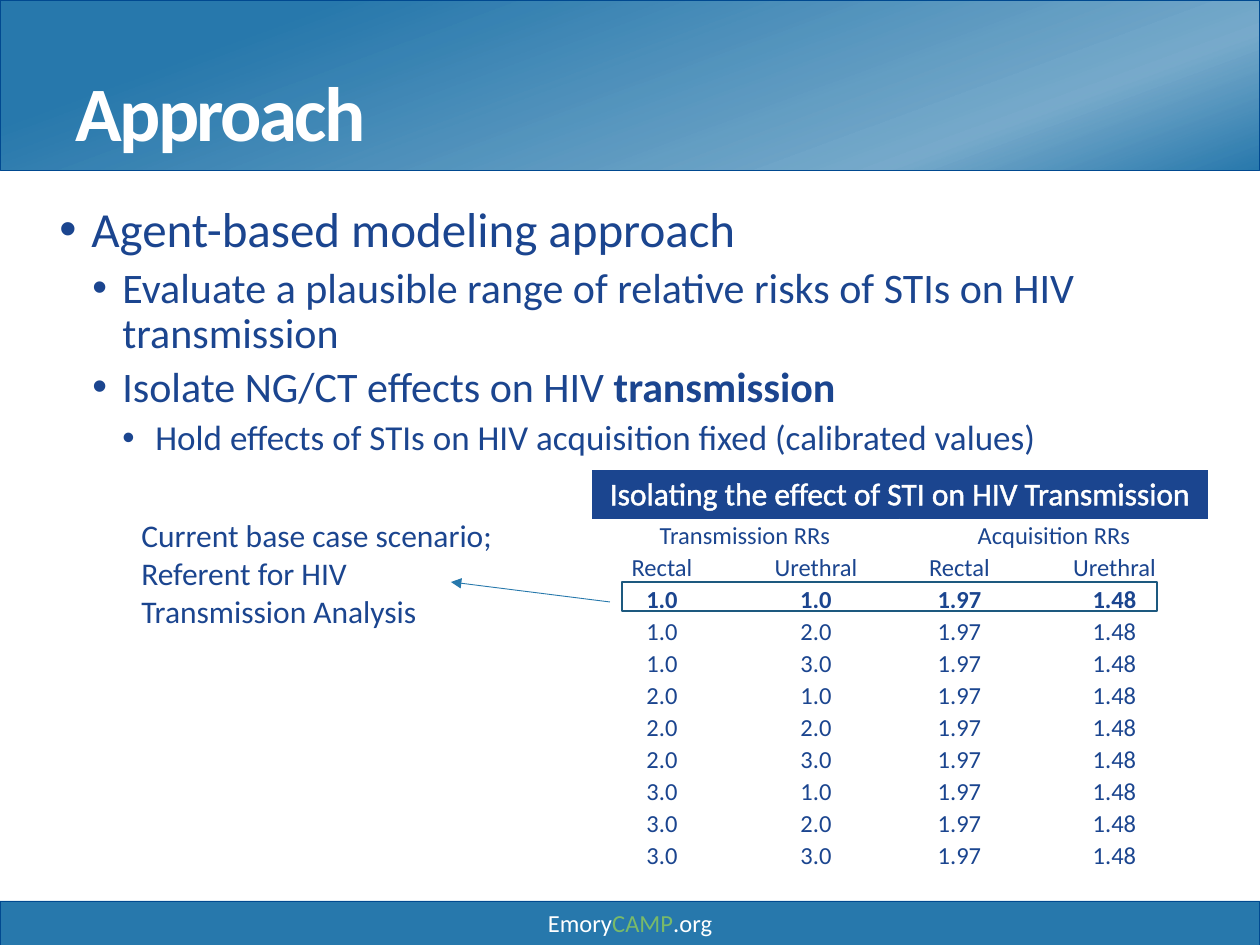
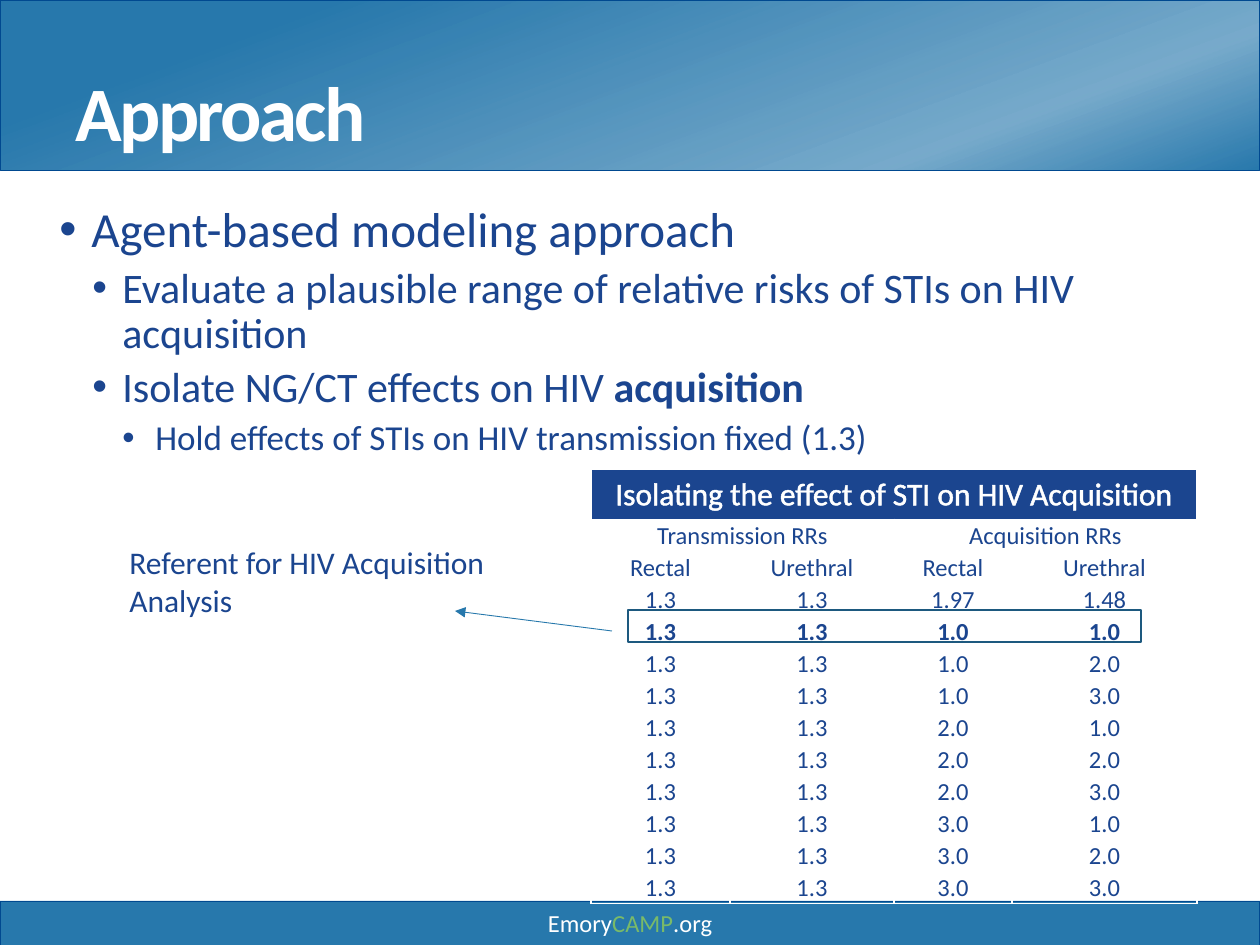
from dataclasses import dataclass
from itertools import product

from lxml.etree import SubElement
from pptx import Presentation
from pptx.dml.color import RGBColor
from pptx.enum.shapes import MSO_CONNECTOR, MSO_SHAPE
from pptx.enum.text import MSO_ANCHOR, PP_ALIGN
from pptx.oxml import parse_xml
from pptx.oxml.ns import nsdecls, qn
from pptx.util import Emu, Pt

PX_PER_INCH = 126
WIDTH, HEIGHT = 1260, 945
FONT = "Calibri"
NAVY, BLUE, EDGE, FRAME = "1B458F", "2778AC", "004990", "1D597F"
WHITE, GREEN = "FFFFFF", "79BA69"
HEADER_ROW, DATA_ROW, CELL_INSET = 50, 32, 9
RISK_LEVELS = ("1.0", "2.0", "3.0")
CALIBRATED = ("1.97", "1.48")
FIXED = ("1.3", "1.3")


@dataclass(frozen=True)
class Box:
    left: int
    top: int
    width: int
    height: int

    def emu(self) -> tuple:
        return tuple(map(px, (self.left, self.top, self.width, self.height)))


@dataclass(frozen=True)
class Piece:
    text: str
    color: str = NAVY
    bold: bool = False


@dataclass(frozen=True)
class Level:
    size: int
    margin: int
    hanging: int
    before: int


@dataclass(frozen=True)
class Analysis:
    studied: str
    held: str
    body_width: int
    columns: tuple
    rows: list
    referent: int
    note: str
    note_box: Box
    frame: Box
    arrow: tuple


LEVELS = (Level(28, 32, 32, 0), Level(24, 63, 30, 5), Level(20, 96, 33, 5))
GRID = list(product(RISK_LEVELS, repeat=2))

ANALYSES = (
    Analysis(
        "transmission", "acquisition fixed (calibrated values)", 1167,
        (142, 166, 121, 189), [pair + CALIBRATED for pair in GRID], 0,
        "Current base case scenario; Referent for HIV Transmission Analysis",
        Box(129, 510, 393, 165), Box(622, 582, 535, 29), (610, 602, 451, 582),
    ),
    Analysis(
        "acquisition", "transmission fixed (1.3)", 1147,
        (139, 164, 118, 185),
        [FIXED + CALIBRATED] + [FIXED + pair for pair in GRID], 1,
        "Referent for HIV Acquisition Analysis",
        Box(117, 537, 393, 127), Box(628, 610, 513, 32), (612, 631, 455, 611),
    ),
)


def px(length: int) -> Emu:
    return Emu(round(length * 914400 / PX_PER_INCH))


def rgb(color: str) -> RGBColor:
    return RGBColor.from_string(color)


def add_run(paragraph, piece: Piece, size: int):
    run = paragraph.add_run()
    run.text = piece.text
    run.font.name = FONT
    run.font.size = Pt(size)
    run.font.bold = piece.bold
    run.font.color.rgb = rgb(piece.color)
    return run


def solid_line(tag: str, color: str, points: float):
    return parse_xml(
        f'<a:{tag} {nsdecls("a")} w="{Pt(points)}"><a:solidFill>'
        f'<a:srgbClr val="{color}"/></a:solidFill></a:{tag}>'
    )


def add_rectangle(slide, box: Box, line: str, points: float):
    rectangle = slide.shapes.add_shape(MSO_SHAPE.RECTANGLE, *box.emu())
    rectangle.shadow.inherit = False
    rectangle.fill.background()
    rectangle.line.color.rgb = rgb(line)
    rectangle.line.width = Pt(points)
    return rectangle


def add_text_frame(slide, box: Box):
    frame = slide.shapes.add_textbox(*box.emu()).text_frame
    frame.word_wrap = True
    return frame


# Shared title band and footer
def add_bands(slide, title: str) -> None:
    band = add_rectangle(slide, Box(0, 0, WIDTH, 170), EDGE, 0.5)
    properties = band.fill._xPr
    properties.replace(properties.find(qn("a:noFill")), parse_xml(
        f'<a:gradFill {nsdecls("a")} rotWithShape="1"><a:gsLst>'
        f'<a:gs pos="19000"><a:srgbClr val="{BLUE}"/></a:gs>'
        f'<a:gs pos="78000"><a:srgbClr val="{BLUE}"><a:alpha val="62000"/></a:srgbClr></a:gs>'
        f'<a:gs pos="100000"><a:srgbClr val="{BLUE}"/></a:gs>'
        f'</a:gsLst><a:lin ang="4200000" scaled="0"/></a:gradFill>'
    ))

    footer = add_rectangle(slide, Box(0, 901, WIDTH, 44), EDGE, 0.5)
    footer.fill.solid()
    footer.fill.fore_color.rgb = rgb(BLUE)
    footer.text_frame.vertical_anchor = MSO_ANCHOR.MIDDLE
    address = footer.text_frame.paragraphs[0]
    address.alignment = PP_ALIGN.CENTER
    for text, color in (("Emory", WHITE), ("CAMP", GREEN), (".org", WHITE)):
        add_run(address, Piece(text, color), 14)

    heading_frame = add_text_frame(slide, Box(63, 24, 955, 139))
    heading_frame.vertical_anchor = MSO_ANCHOR.BOTTOM
    heading = heading_frame.paragraphs[0]
    heading.line_spacing = 0.8
    run = add_run(heading, Piece(title, WHITE, True), 44)
    run.font._element.set("spc", "-150")


# Bulleted outline
def add_outline(slide, analysis: Analysis) -> None:
    outline = (
        (0, [Piece("Agent-based modeling approach")]),
        (1, [Piece("Evaluate a plausible range of relative risks of STIs on HIV "
                   + analysis.studied)]),
        (1, [Piece("Isolate NG/CT effects on HIV "),
             Piece(analysis.studied, bold=True)]),
        (2, [Piece("Hold effects of STIs on HIV " + analysis.held)]),
    )
    frame = add_text_frame(slide, Box(47, 199, analysis.body_width, 653))
    for index, (depth, pieces) in enumerate(outline):
        bullet = frame.add_paragraph() if index else frame.paragraphs[0]
        level = LEVELS[depth]
        properties = bullet._p.get_or_add_pPr()
        properties.set("marL", str(px(level.margin)))
        properties.set("indent", str(-px(level.hanging)))
        SubElement(properties, qn("a:buFont"), typeface="Arial")
        SubElement(properties, qn("a:buChar"), char="•")
        bullet.level = depth
        bullet.line_spacing = 0.9
        bullet.space_before = Pt(level.before)
        for piece in pieces:
            add_run(bullet, piece, level.size)


# Table of relative risks
def fill_cell(cell, piece: Piece, heading: bool) -> None:
    paragraph = cell.text_frame.paragraphs[0]
    paragraph.alignment = PP_ALIGN.CENTER
    run = add_run(paragraph, piece, 18 if heading else 14)
    if heading:
        run.font._element.insert(0, solid_line("ln", WHITE, 0.75))
    else:
        paragraph.line_spacing = 1.07
        cell.margin_left = cell.margin_right = px(CELL_INSET)
        cell.margin_top = cell.margin_bottom = 0


def add_risk_table(slide, analysis: Analysis) -> None:
    header = [
        ("Isolating the effect of STI on HIV " + analysis.studied.title(), "", "", ""),
        ("Transmission RRs", "", "Acquisition RRs", ""),
        ("Rectal", "Urethral") * 2,
    ]
    rows = header + analysis.rows
    height = HEADER_ROW + DATA_ROW * (len(rows) - 1)
    box = Box(591, 469, sum(analysis.columns), height)
    table = slide.shapes.add_table(len(rows), len(analysis.columns), *box.emu()).table
    table.first_row = table.horz_banding = False
    for column, width in zip(table.columns, analysis.columns):
        column.width = px(width)
    for index, row in enumerate(table.rows):
        row.height = px(DATA_ROW if index else HEADER_ROW)

    for first, last in (((0, 0), (0, 3)), ((1, 0), (1, 1)), ((1, 2), (1, 3))):
        table.cell(*first).merge(table.cell(*last))

    for r, values in enumerate(rows):
        for c, value in enumerate(values):
            cell = table.cell(r, c)
            properties = cell._tc.get_or_add_tcPr()
            for side in ("lnL", "lnR", "lnT", "lnB"):
                properties.append(solid_line(side, WHITE, 1))
            if r == 0:
                cell.fill.solid()
                cell.fill.fore_color.rgb = rgb(NAVY)
            else:
                cell.fill.background()
            if not cell.is_spanned:
                referent = r == len(header) + analysis.referent
                piece = Piece(value, NAVY if r else WHITE, referent)
                fill_cell(cell, piece, heading=r == 0)


# Referent note, row frame and arrow
def add_referent(slide, analysis: Analysis) -> None:
    note = add_text_frame(slide, analysis.note_box)
    add_run(note.paragraphs[0], Piece(analysis.note), 18)
    add_rectangle(slide, analysis.frame, FRAME, 1)

    arrow = slide.shapes.add_connector(
        MSO_CONNECTOR.STRAIGHT, *map(px, analysis.arrow))
    arrow.line.color.rgb = rgb(BLUE)
    arrow.line.width = Pt(0.5)
    properties = arrow._element.spPr
    SubElement(properties.find(qn("a:ln")), qn("a:tailEnd"), type="triangle")
    SubElement(properties, qn("a:effectLst"))


def main() -> None:
    presentation = Presentation()
    presentation.slide_width, presentation.slide_height = px(WIDTH), px(HEIGHT)
    blank = presentation.slide_layouts[6]
    for analysis in ANALYSES:
        slide = presentation.slides.add_slide(blank)
        add_bands(slide, "Approach")
        add_outline(slide, analysis)
        add_risk_table(slide, analysis)
        add_referent(slide, analysis)
    presentation.save("out.pptx")


if __name__ == "__main__":
    main()
